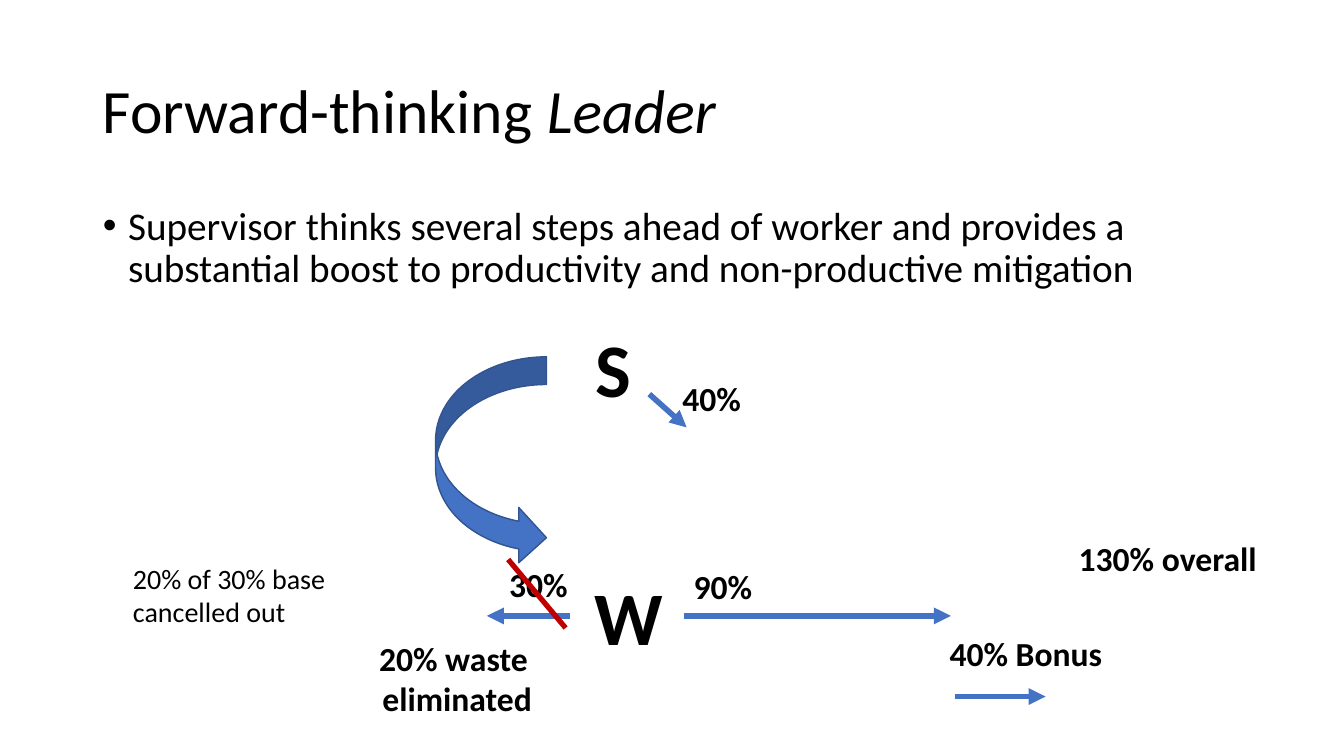
from lxml import etree
from pptx import Presentation
from pptx.dml.color import RGBColor
from pptx.enum.shapes import MSO_CONNECTOR, MSO_SHAPE
from pptx.enum.text import MSO_ANCHOR, MSO_AUTO_SIZE, PP_ALIGN
from pptx.oxml.ns import qn
from pptx.util import Pt

STRAIGHT = MSO_CONNECTOR.STRAIGHT
CURVED = MSO_SHAPE.CURVED_RIGHT_ARROW
MIDDLE, TOP = MSO_ANCHOR.MIDDLE, MSO_ANCHOR.TOP
LEFT, CENTER = PP_ALIGN.LEFT, PP_ALIGN.CENTER
FIXED, GROW = MSO_AUTO_SIZE.NONE, MSO_AUTO_SIZE.SHAPE_TO_FIT_TEXT

SCALE = 9144
FONT = "Calibri"
BLACK, BLUE, NAVY, RED = "000000", "4472C4", "325491", "C00000"


def px(*sizes):
    return [size * SCALE for size in sizes]


def color(code):
    return RGBColor.from_string(code)


class Board:
    """Draws styled elements on one slide, with lengths in px of 1/100 inch."""

    def __init__(self, slide):
        self.slide = slide
        self.shapes = slide.shapes

    def style(self, para, size, bold=False, align=LEFT):
        para.alignment = align
        para.font.name = FONT
        para.font.size = Pt(size)
        para.font.bold = bold
        para.font.color.rgb = color(BLACK)

    def place(self, holder, box, anchor):
        holder.left, holder.top, holder.width, holder.height = px(*box)
        frame = holder.text_frame
        frame.auto_size = FIXED
        frame.vertical_anchor = anchor
        para = frame.paragraphs[0]
        para.line_spacing = 0.9
        return para

    def title(self, box, plain, slant):
        para = self.place(self.shapes.title, box, MIDDLE)
        para.add_run().text = plain
        run = para.add_run()
        run.text = slant
        run.font.italic = True
        self.style(para, 44)

    def body(self, box, text):
        para = self.place(self.slide.placeholders[1], box, TOP)
        para.text = text
        para.space_before = Pt(10)
        self.style(para, 28)
        props = para._p.get_or_add_pPr()
        props.set("marL", str(25 * SCALE))
        props.set("indent", str(-25 * SCALE))

    def label(self, box, text, size=24, bold=True, align=LEFT, wrap=False):
        frame = self.shapes.add_textbox(*px(*box)).text_frame
        frame.word_wrap = wrap
        frame.auto_size = GROW
        para = frame.paragraphs[0]
        para.text = text
        self.style(para, size, bold, align)

    def line(self, ends, code=BLUE, width=4, arrow=True):
        link = self.shapes.add_connector(STRAIGHT, *px(*ends))
        link.line.color.rgb = color(code)
        link.line.width = Pt(width)
        if arrow:
            tip = etree.SubElement(link.line._get_or_add_ln(), qn("a:tailEnd"))
            tip.set("type", "triangle")
        etree.SubElement(link._element.spPr, qn("a:effectLst"))

    def curve(self, box):
        shape = self.shapes.add_shape(CURVED, *px(*box))
        shape.shadow.inherit = False
        shape.fill.solid()
        shape.fill.fore_color.rgb = color(BLUE)
        shape.line.color.rgb = color(NAVY)
        shape.line.width = Pt(1)


def main():
    deck = Presentation()
    deck.slide_width, deck.slide_height = px(1333, 750)
    board = Board(deck.slides.add_slide(deck.slide_layouts[1]))

    board.title((92, 40, 1150, 145), "Forward-thinking ", "Leader")
    board.body((92, 200, 1150, 127),
               "Supervisor thinks several steps ahead of worker and provides a "
               "substantial boost to productivity and non-productive mitigation")

    board.line((678, 611, 943, 611))
    board.label((579, 560, 89, 101), "W", size=54, align=CENTER)
    board.label((678, 557, 79, 50), "90%")
    board.line((565, 611, 483, 611))
    board.label((495, 555, 79, 50), "30%")

    board.label((570, 314, 76, 101), "S", size=54, align=CENTER, wrap=True)
    board.line((947, 691, 1037, 691))
    board.label((931, 623, 173, 50), "40% Bonus", align=CENTER)
    board.line((644, 391, 681, 424))
    board.label((667, 370, 79, 50), "40%")

    board.curve((432, 354, 110, 207))
    board.line((504, 555, 561, 623), RED, 3.75, arrow=False)
    board.label((365, 628, 177, 91), "20% waste \veliminated", align=CENTER)
    board.label((1060, 529, 198, 50), "130% overall")
    board.label((122, 552, 213, 77), "20% of 30% base\vcancelled out",
                size=20, bold=False)

    deck.save("out.pptx")


if __name__ == "__main__":
    main()
